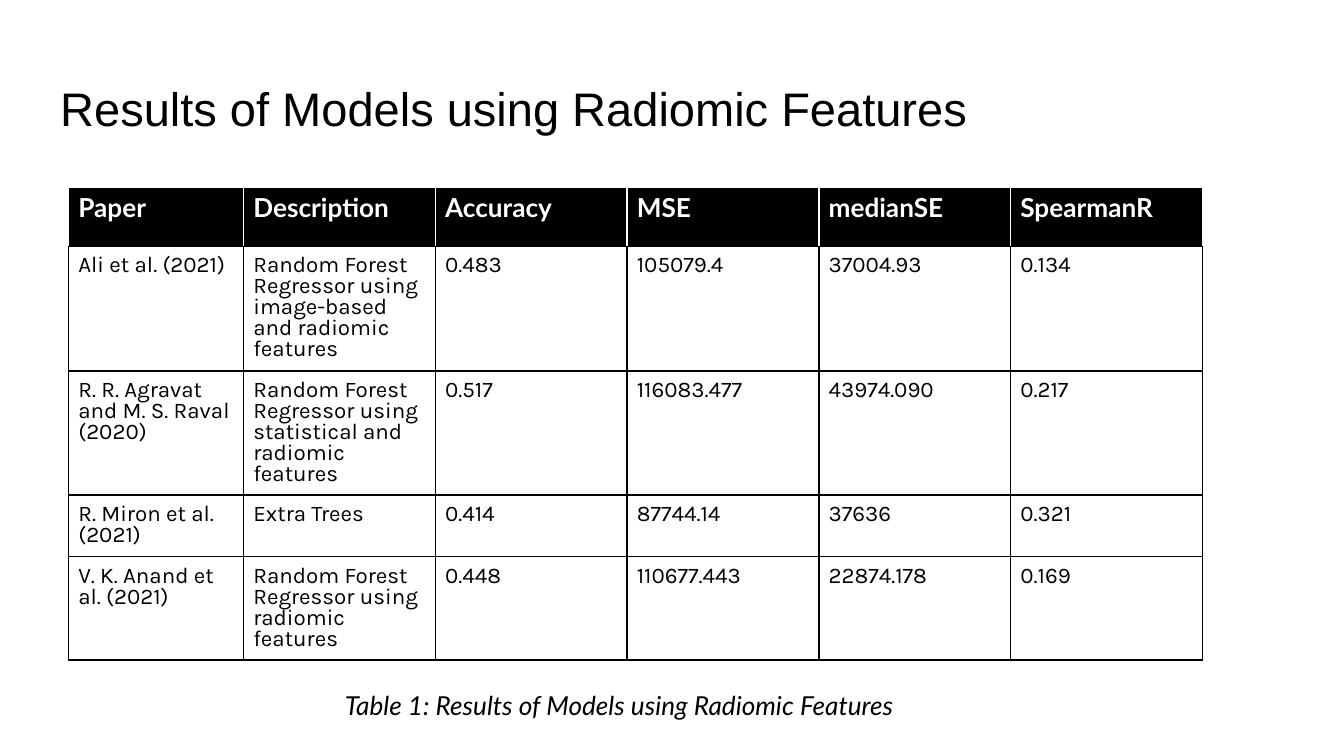
from lxml.etree import SubElement
from pptx import Presentation
from pptx.dml.color import RGBColor
from pptx.enum.text import MSO_ANCHOR, PP_ALIGN
from pptx.oxml.ns import qn
from pptx.util import Pt

PX = 9525  # EMU in one pixel, 96 pixels to the inch
COLORS = {"ink": "000000", "paper": "FFFFFF"}
INSET = 7


def add_run(para, text, font, size, color, bold=False, italic=False):
    span = para.add_run()
    span.text = text
    span.font.name = font
    span.font.size = Pt(size)
    span.font.bold = bold
    span.font.italic = italic
    span.font.color.rgb = RGBColor.from_string(COLORS[color])


def set_borders(cell, side_colors):
    """Draw 1 pt cell borders; call before setting the fill, which must follow them."""
    properties = cell._tc.get_or_add_tcPr()
    for side, color in side_colors.items():
        line = SubElement(properties, qn(f"a:ln{side}"), w=str(Pt(1)))
        fill = SubElement(line, qn("a:solidFill"))
        SubElement(fill, qn("a:srgbClr"), val=COLORS[color])


deck = Presentation()
deck.slide_width, deck.slide_height = 960 * PX, 540 * PX
page = deck.slides.add_slide(deck.slide_layouts[5])

# Title
title = page.shapes.title
title.left, title.top, title.width, title.height = 33 * PX, 47 * PX, 895 * PX, 60 * PX
frame = title.text_frame
frame.margin_left = frame.margin_right = frame.margin_top = frame.margin_bottom = 10 * PX
frame.vertical_anchor = MSO_ANCHOR.BOTTOM
para = frame.paragraphs[0]
para.alignment = PP_ALIGN.LEFT
add_run(para, "Results of Models using Radiomic Features", "Arial", 25.2, "ink")

# Results table
results = [
    ["Paper", "Description", "Accuracy", "MSE", "medianSE", "SpearmanR"],
    ["Ali et al. (2021)",
     "Random Forest Regressor using image-based and radiomic features",
     "0.483", "105079.4", "37004.93", "0.134"],
    ["R. R. Agravat and M. S. Raval (2020)",
     "Random Forest Regressor using statistical and radiomic features",
     "0.517", "116083.477", "43974.090", "0.217"],
    ["R. Miron et al. (2021)", "Extra Trees",
     "0.414", "87744.14", "37636", "0.321"],
    ["V. K. Anand et al. (2021)",
     "Random Forest Regressor using radiomic features",
     "0.448", "110677.443", "22874.178", "0.169"],
]
column_widths = [125] + [137] * 5
row_heights = [42] + [43] * 4
table = page.shapes.add_table(
    len(row_heights), len(column_widths), 49 * PX, 134 * PX,
    sum(column_widths) * PX, sum(row_heights) * PX).table
for column, width in zip(table.columns, column_widths):
    column.width = width * PX
for row, height in zip(table.rows, row_heights):
    row.height = height * PX

for row_index, values in enumerate(results):
    is_header = row_index == 0
    edge = "paper" if is_header else "ink"
    for column_index, value in enumerate(values):
        cell = table.cell(row_index, column_index)
        cell.margin_left = cell.margin_right = INSET * PX
        cell.margin_top = cell.margin_bottom = INSET * PX
        set_borders(cell, {"L": edge, "R": edge, "T": edge, "B": "ink"})
        if is_header:
            cell.fill.solid()
            cell.fill.fore_color.rgb = RGBColor.from_string(COLORS["ink"])
        else:
            cell.fill.background()
        para = cell.text_frame.paragraphs[0]
        para.line_spacing = 0.8
        if is_header:
            add_run(para, value, "Lato", 14, "paper", bold=True)
        else:
            add_run(para, value, "Karla", 12, "ink")

# Caption
caption = page.shapes.add_textbox(61 * PX, 471 * PX, 763 * PX, 23 * PX)
frame = caption.text_frame
frame.word_wrap = True
frame.margin_left = frame.margin_right = frame.margin_top = frame.margin_bottom = 10 * PX
para = frame.paragraphs[0]
para.alignment = PP_ALIGN.CENTER
para.line_spacing = 1.5
add_run(para, "Table 1: Results of Models using Radiomic Features", "Lato", 14, "ink", italic=True)

deck.save("out.pptx")
